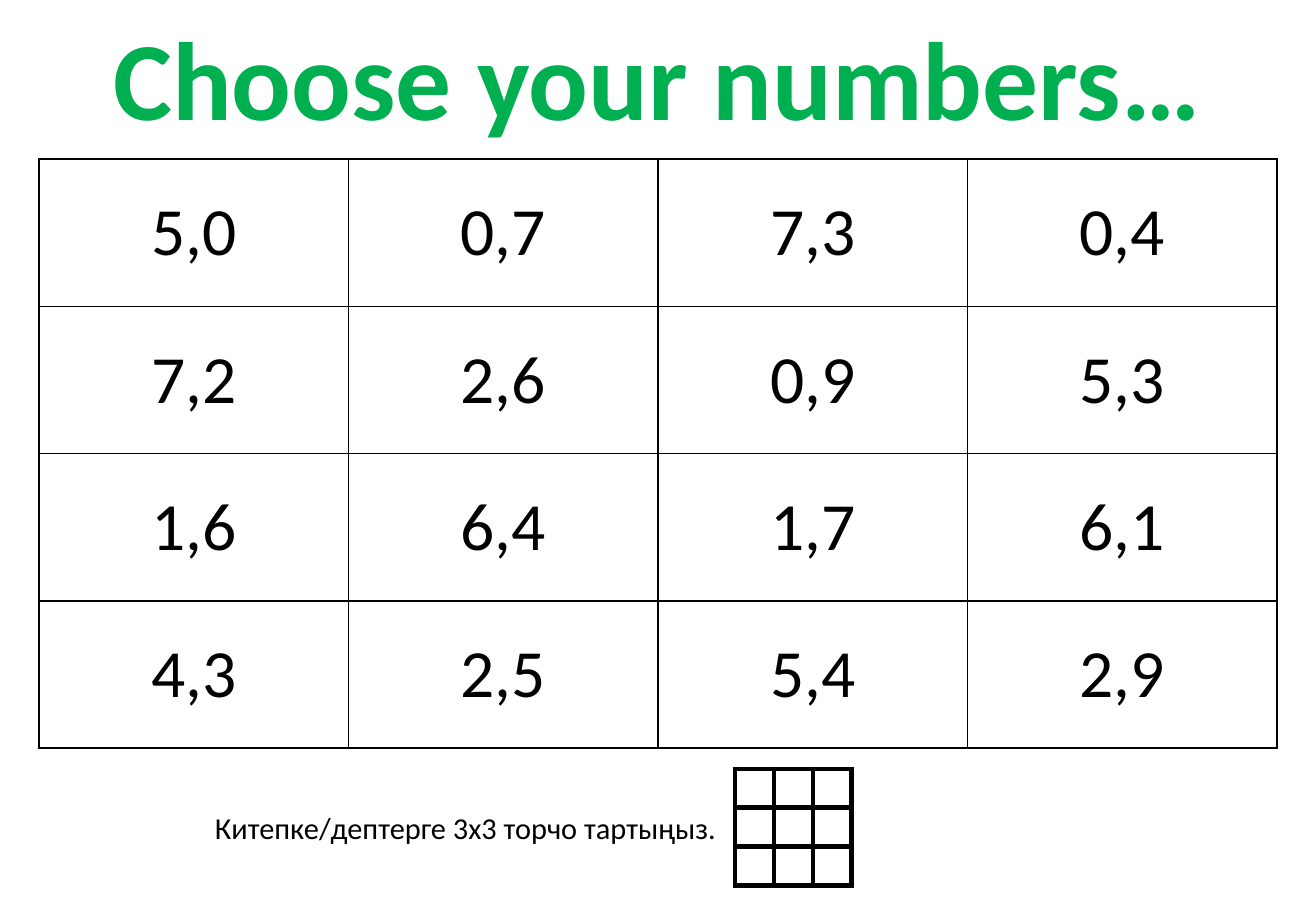
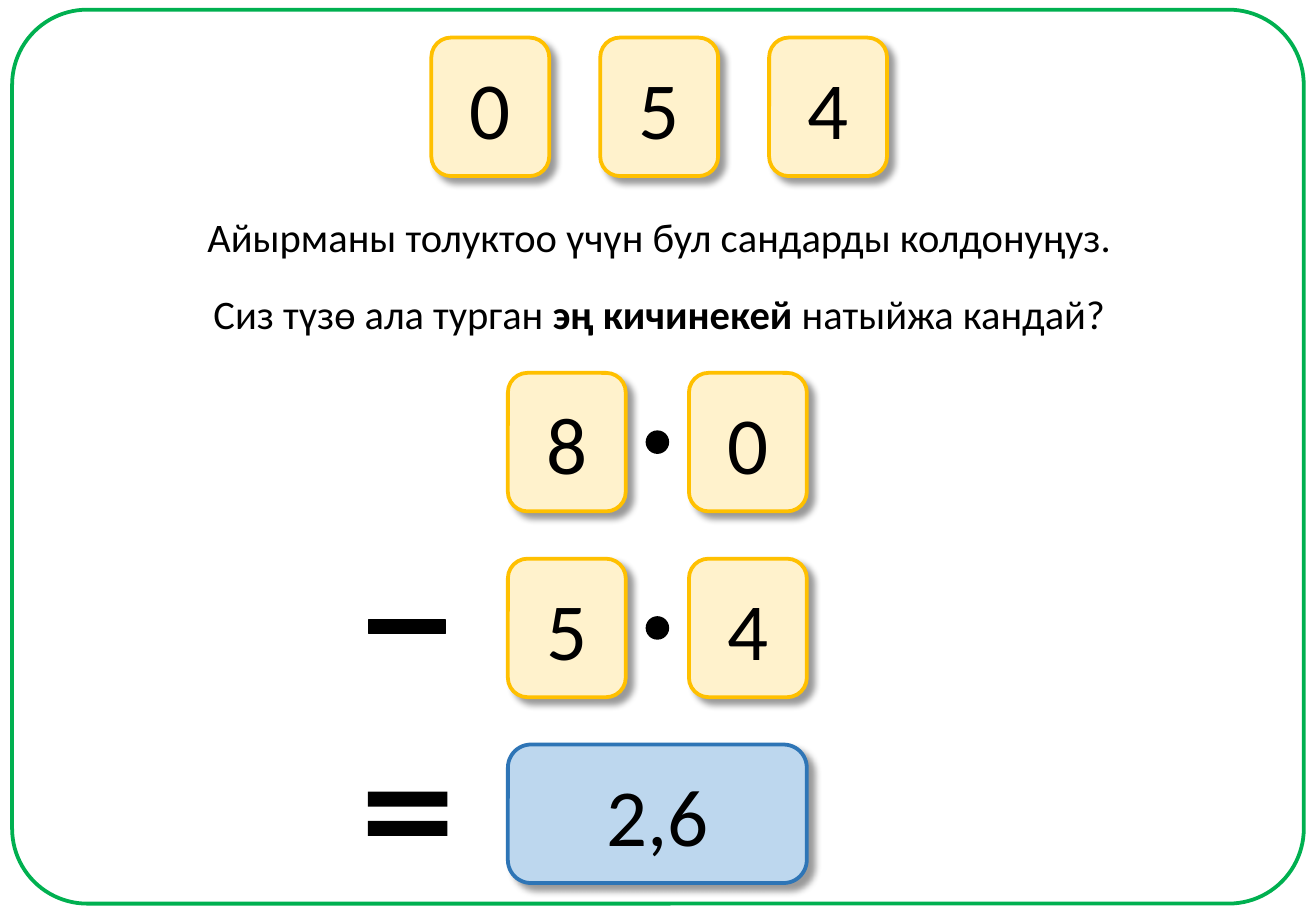
from lxml import etree
from pptx import Presentation
from pptx.dml.color import RGBColor
from pptx.enum.shapes import MSO_SHAPE
from pptx.enum.text import MSO_ANCHOR, MSO_AUTO_SIZE, PP_ALIGN
from pptx.oxml.ns import qn
from pptx.util import Inches, Pt

ROUND = MSO_SHAPE.ROUNDED_RECTANGLE
OVAL = MSO_SHAPE.OVAL
EQUAL = MSO_SHAPE.MATH_EQUAL
MINUS = MSO_SHAPE.MATH_MINUS
MIDDLE = MSO_ANCHOR.MIDDLE
GROW = MSO_AUTO_SIZE.SHAPE_TO_FIT_TEXT
LEFT, CENTER = PP_ALIGN.LEFT, PP_ALIGN.CENTER

FONT = "Calibri"
BLACK, WHITE, GREEN = "000000", "FFFFFF", "00B050"
CREAM, GOLD = "FFF2CC", "FFC000"
SKY, BLUE = "BDD7EE", "2E75B6"

TITLE = "Choose your numbers…"
NUMBERS = [
    ["5,0", "0,7", "7,3", "0,4"],
    ["7,2", "2,6", "0,9", "5,3"],
    ["1,6", "6,4", "1,7", "6,1"],
    ["4,3", "2,5", "5,4", "2,9"],
]
GRID = [[""] * 3] * 3
HINT = [("Китепке/дептерге 3х3 торчо тартыңыз.", False)]

DIGITS = ["0", "5", "4"]
TASK = [("Айырманы толуктоо үчүн бул сандарды колдонуңуз.", False)]
ASK = [
    ("Сиз түзө ала турган ", False),
    ("эң кичинекей ", True),
    ("натыйжа кандай?", False),
]
SUM = [("8", "0"), ("5", "4")]
RESULT = "2,6"

CARD_W, CARD_H = 0.97, 1.14
DIGIT_X, DIGIT_Y, DIGIT_STEP = 3.55, 0.31, 1.39
SUM_X, SUM_Y, SUM_DX, SUM_DY = 4.18, 3.07, 1.49, 1.53
DOT = 0.18


def rgb(code):
    return RGBColor.from_string(code)


def inches(box):
    return [Inches(n) for n in box]


def solid(parent, code):
    fill = etree.SubElement(parent, qn("a:solidFill"))
    return etree.SubElement(fill, qn("a:srgbClr"), val=code)


def add_run(para, text, size, color=BLACK, bold=False):
    run = para.add_run()
    run.text = text
    font = run.font
    font.name, font.size, font.bold = FONT, Pt(size), bold
    font.color.rgb = rgb(color)
    return run


def fit(frame):
    frame.word_wrap = False
    frame.auto_size = GROW


def add_text(slide, box, runs, size, align=LEFT):
    frame = slide.shapes.add_textbox(*inches(box)).text_frame
    fit(frame)
    para = frame.paragraphs[0]
    para.alignment = align
    for text, bold in runs:
        add_run(para, text, size, bold=bold)


def add_table(slide, box, rows, width, size):
    """Place equal white cells with black borders of the given width."""
    count, wide = len(rows), len(rows[0])
    table = slide.shapes.add_table(count, wide, *inches(box)).table
    table.first_row = table.horz_banding = False
    for col in table.columns:
        col.width = Inches(box[2] / wide)
    for row, texts in zip(table.rows, rows):
        row.height = Inches(box[3] / count)
        for cell, text in zip(row.cells, texts):
            cell.margin_left = cell.margin_right = 0
            cell.margin_top = cell.margin_bottom = 0
            cell.vertical_anchor = MIDDLE
            props = cell._tc.get_or_add_tcPr()
            for side in ("lnL", "lnR", "lnT", "lnB"):
                edge = etree.SubElement(props, qn("a:" + side), w=str(Pt(width)))
                solid(edge, BLACK)
            cell.fill.solid()
            cell.fill.fore_color.rgb = rgb(WHITE)
            if text:
                para = cell.text_frame.paragraphs[0]
                para.alignment = CENTER
                add_run(para, text, size)


def add_shape(slide, kind, box, fill=None, line=None, width=1, adjust=()):
    shape = slide.shapes.add_shape(kind, *inches(box))
    shape.shadow.inherit = False
    for i, value in enumerate(adjust):
        shape.adjustments[i] = value
    if fill:
        shape.fill.solid()
        shape.fill.fore_color.rgb = rgb(fill)
    else:
        shape.fill.background()
    if line:
        shape.line.color.rgb = rgb(line)
        shape.line.width = Pt(width)
    else:
        shape.line.fill.background()
    return shape


def add_card(slide, x, y, text, width=CARD_W, fill=CREAM, line=GOLD):
    """Draw a rounded card with a soft shadow and a large number."""
    card = add_shape(slide, ROUND, (x, y, width, CARD_H), fill, line, 2.25)
    effects = card._element.spPr.find(qn("a:effectLst"))
    shade = etree.SubElement(
        effects, qn("a:outerShdw"), blurRad=str(Pt(4)), dist=str(Pt(5)),
        dir="2700000", algn="tl", rotWithShape="0")
    tint = etree.SubElement(shade, qn("a:srgbClr"), val=BLACK)
    etree.SubElement(tint, qn("a:alpha"), val="40000")
    frame = card.text_frame
    frame.vertical_anchor = MIDDLE
    para = frame.paragraphs[0]
    para.alignment = CENTER
    add_run(para, text, 48)


def add_title(slide, box, text):
    title = slide.shapes.title
    title.left, title.top, title.width, title.height = inches(box)
    frame = title.text_frame
    fit(frame)
    para = frame.paragraphs[0]
    para.alignment = CENTER
    props = add_run(para, text, 66, GREEN, True)._r.get_or_add_rPr()
    edge = etree.Element(qn("a:ln"), w=str(Pt(0.75)))
    solid(edge, BLACK)
    props.insert(0, edge)


def number_slide(deck):
    slide = deck.slides.add_slide(deck.slide_layouts[5])
    add_title(slide, (0.79, 0.02, 9.24, 1.21), TITLE)
    add_table(slide, (0.32, 1.31, 10.19, 4.85), NUMBERS, 1, 40)
    add_table(slide, (6.05, 6.33, 0.96, 0.96), GRID, 3, 18)
    add_text(slide, (1.67, 6.61, 4.38, 0.4), HINT, 18)


def puzzle_slide(deck):
    slide = deck.slides.add_slide(deck.slide_layouts[6])
    add_shape(slide, ROUND, (0.1, 0.08, 10.63, 7.36), None, GREEN, 2.25, [0.084])
    add_text(slide, (1.57, 1.7, 7.71, 0.5), TASK, 24, CENTER)
    add_text(slide, (1.62, 2.33, 7.61, 0.5), ASK, 24, CENTER)
    for i, digit in enumerate(DIGITS):
        add_card(slide, DIGIT_X + i * DIGIT_STEP, DIGIT_Y, digit)

    full = SUM_DX + CARD_W
    dot_x = SUM_X + (full - DOT) / 2
    for i, pair in enumerate(SUM):
        y = SUM_Y + i * SUM_DY
        for j, digit in enumerate(pair):
            add_card(slide, SUM_X + j * SUM_DX, y, digit)
        add_shape(slide, OVAL, (dot_x, y + 0.48, DOT, DOT), BLACK, BLACK)
    add_card(slide, SUM_X, SUM_Y + len(SUM) * SUM_DY, RESULT, full, SKY, BLUE)
    add_shape(slide, MINUS, (2.92, 4.73, 0.86, 0.86), BLACK, BLACK, adjust=[0.132])
    add_shape(slide, EQUAL, (2.91, 6.2, 0.89, 1), BLACK, adjust=[0.123, 0.118])


def main():
    deck = Presentation()
    deck.slide_width, deck.slide_height = Inches(10.83), Inches(7.5)
    number_slide(deck)
    puzzle_slide(deck)
    deck.save("out.pptx")


if __name__ == "__main__":
    main()
